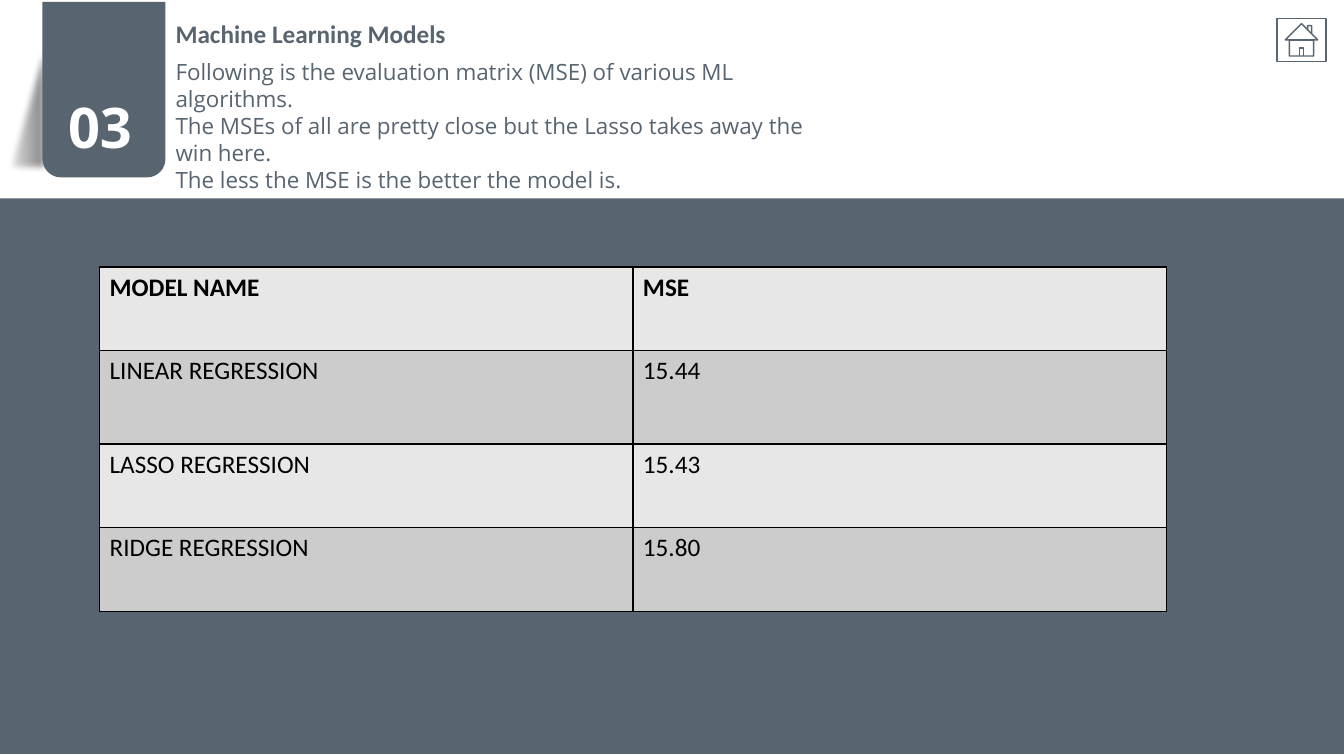
import pptx
import pptx.dml.color
import pptx.enum.shapes
import pptx.enum.text
import pptx.oxml
import pptx.oxml.ns
import pptx.util

Cm = pptx.util.Cm
Pt = pptx.util.Pt
RGBColor = pptx.dml.color.RGBColor
Shapes = pptx.enum.shapes.MSO_SHAPE
Align = pptx.enum.text.PP_ALIGN
Anchor = pptx.enum.text.MSO_ANCHOR

SLATE = RGBColor(0x58, 0x64, 0x70)
WHITE = RGBColor(0xFF, 0xFF, 0xFF)
BLACK = RGBColor(0x00, 0x00, 0x00)
LIGHT_ROW = RGBColor(0xE7, 0xE7, 0xE7)
DARK_ROW = RGBColor(0xCC, 0xCC, 0xCC)

COMMENTS = [
    "Following is the evaluation matrix (MSE) of various ML algorithms.",
    "The MSEs of all are pretty close but the Lasso takes away the win here.",
    "The less the MSE is the better the model is.",
]
MODEL_ROWS = [
    ("MODEL NAME", "MSE"),
    ("LINEAR REGRESSION", "15.44"),
    ("LASSO REGRESSION", "15.43"),
    ("RIDGE REGRESSION", "15.80"),
]
ROW_HEIGHTS = [2.11, 2.35, 2.11, 2.11]


def xml(markup):
    return pptx.oxml.parse_xml(markup.replace(">", " " + pptx.oxml.ns.nsdecls("a") + ">", 1))


def write_text(text_frame, paragraphs, size=18, font="Calibri", color=BLACK,
               bold=False, align=Align.LEFT):
    """Write one paragraph per string, without bullets or gaps."""
    text_frame.word_wrap = True
    text_frame.vertical_anchor = Anchor.TOP
    for index, text in enumerate(paragraphs):
        paragraph = text_frame.add_paragraph() if index else text_frame.paragraphs[0]
        paragraph.alignment = align
        paragraph.space_before = Pt(0)
        properties = paragraph._p.get_or_add_pPr()
        properties.set("marL", "0")
        properties.set("indent", "0")
        properties.append(xml("<a:buNone></a:buNone>"))
        run = paragraph.add_run()
        run.text = text
        run.font.name = font
        run.font.size = Pt(size)
        run.font.bold = bold
        run.font.color.rgb = color


def place(shape, left, top, width, height):
    shape.left, shape.top = Cm(left), Cm(top)
    shape.width, shape.height = Cm(width), Cm(height)


def fill_placeholder(placeholder, box, paragraphs, **text_format):
    place(placeholder, *box)
    placeholder.text_frame.auto_size = pptx.enum.text.MSO_AUTO_SIZE.NONE
    write_text(placeholder.text_frame, paragraphs, **text_format)


def add_shape(slide, kind, box, fill=None, line=None):
    shape = slide.shapes.add_shape(kind, *map(Cm, box))
    shape.shadow.inherit = False
    if fill is None:
        shape.fill.background()
    else:
        shape.fill.solid()
        shape.fill.fore_color.rgb = fill
    if line is None:
        shape.line.fill.background()
    else:
        shape.line.color.rgb = line
        shape.line.width = Pt(1)
    return shape


def add_fold_shadow(slide):
    """Soft triangle that fades out towards the number tab."""
    triangle = add_shape(slide, Shapes.RIGHT_TRIANGLE, (0, -0.05, 1.27, 4.42), BLACK)
    triangle.rotation = 180
    properties = triangle._element.spPr
    properties.xfrm.set("flipV", "1")
    solid = properties.find(pptx.oxml.ns.qn("a:solidFill"))
    properties.replace(solid, xml(
        '<a:gradFill><a:gsLst>'
        '<a:gs pos="0"><a:srgbClr val="000000"><a:alpha val="0"/></a:srgbClr></a:gs>'
        '<a:gs pos="100000"><a:srgbClr val="000000"><a:alpha val="56000"/></a:srgbClr></a:gs>'
        '</a:gsLst><a:lin ang="10800000" scaled="0"/></a:gradFill>'))
    effects = properties.find(pptx.oxml.ns.qn("a:effectLst"))
    effects.append(xml('<a:softEdge rad="63500"></a:softEdge>'))


def add_number_tab(slide, number):
    tab = add_shape(slide, Shapes.ROUND_2_SAME_RECTANGLE, (1.07, 0.05, 3.1, 4.42), SLATE)
    tab.rotation = 180
    tab.adjustments[0] = 0.15
    label = slide.shapes.add_textbox(Cm(0.97), Cm(2.21), Cm(3.1), Cm(1.96))
    write_text(label.text_frame, [number], size=40, font="Open Sans", color=WHITE,
               bold=True, align=Align.CENTER)


def set_borders(cell):
    properties = cell._tc.get_or_add_tcPr()
    for index, side in enumerate(("lnL", "lnR", "lnT", "lnB")):
        properties.insert(index, xml(
            f'<a:{side} w="12700"><a:solidFill><a:srgbClr val="{BLACK}"/></a:solidFill>'
            f'</a:{side}>'))


def add_model_table(slide):
    frame = slide.shapes.add_table(len(MODEL_ROWS), 2, Cm(2.51), Cm(6.73),
                                   Cm(26.88), Cm(sum(ROW_HEIGHTS)))
    table = frame.table
    for row_index, values in enumerate(MODEL_ROWS):
        table.rows[row_index].height = Cm(ROW_HEIGHTS[row_index])
        for column_index, value in enumerate(values):
            cell = table.cell(row_index, column_index)
            cell.fill.solid()
            cell.fill.fore_color.rgb = DARK_ROW if row_index % 2 else LIGHT_ROW
            set_borders(cell)
            write_text(cell.text_frame, [value], bold=row_index == 0)
            cell.vertical_anchor = Anchor.TOP


def main():
    presentation = pptx.Presentation()
    presentation.slide_width = Cm(33.87)
    presentation.slide_height = Cm(19.05)
    slide = presentation.slides.add_slide(presentation.slide_layouts[1])

    # Number tab and lower band
    add_fold_shadow(slide)
    add_number_tab(slide, "03")
    add_shape(slide, Shapes.RECTANGLE, (0, 5, 33.87, 14), SLATE)

    # Heading and comments
    fill_placeholder(slide.shapes.title, (4.17, 0.33, 8.59, 1.02),
                     ["Machine Learning Models"], color=SLATE, bold=True)
    fill_placeholder(slide.placeholders[1], (4.17, 1.35, 16.84, 3),
                     COMMENTS, size=16, font="Open Sans", color=SLATE)

    # Home button and results
    add_shape(slide, Shapes.ACTION_BUTTON_HOME, (32.18, 0.46, 1.24, 1.09), line=SLATE)
    add_model_table(slide)

    presentation.save("out.pptx")


main()
